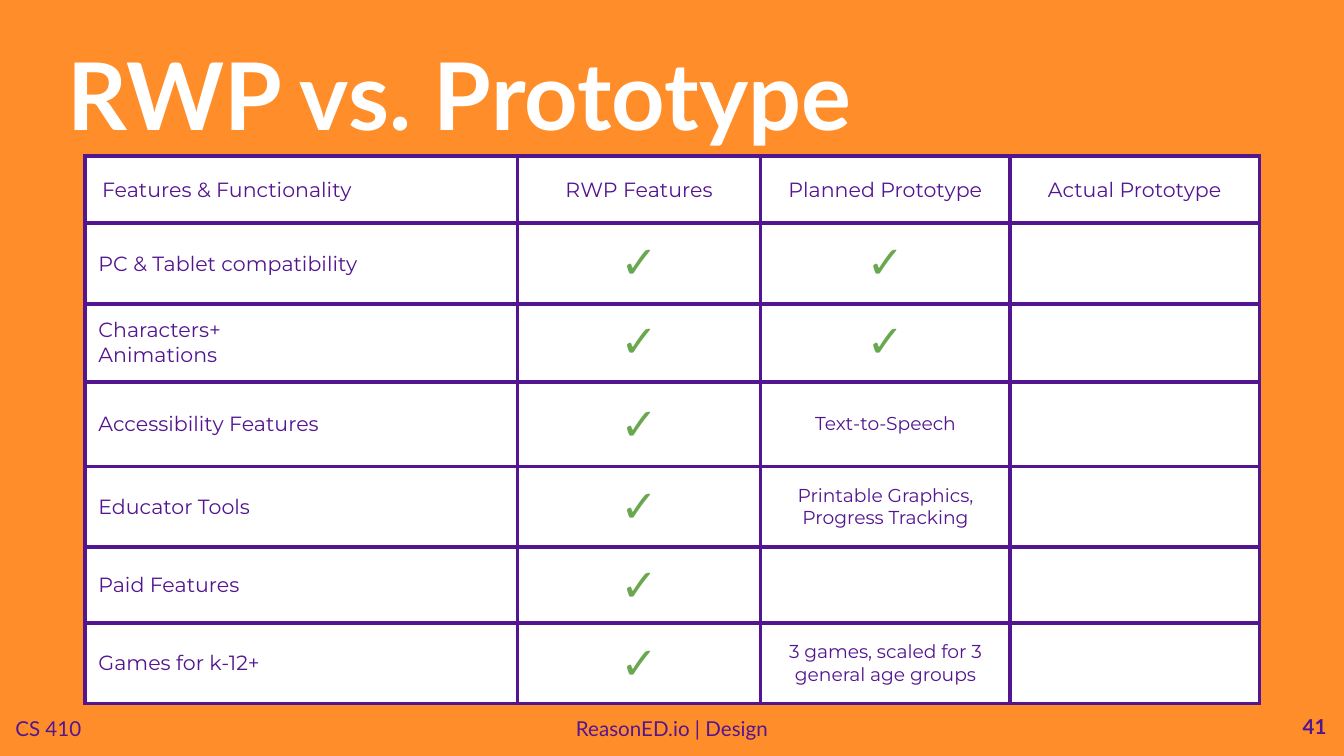
from lxml import etree
from pptx import Presentation
from pptx import util as u
from pptx.dml.color import RGBColor
from pptx.enum import text as t
from pptx.oxml.ns import qn

ORANGE = RGBColor(0xFF, 0x8D, 0x29)
PURPLE = RGBColor(0x54, 0x16, 0x90)
GREEN = RGBColor(0x6A, 0xA8, 0x4F)
WHITE = RGBColor(0xFF, 0xFF, 0xFF)
LEFT, CENTER, RIGHT = t.PP_ALIGN.LEFT, t.PP_ALIGN.CENTER, t.PP_ALIGN.RIGHT

# Content
TITLE = "RWP vs. Prototype"
CHECK = "✓"
HEADER = ["Features & Functionality", "RWP Features", "Planned Prototype", "Actual Prototype"]
FEATURES = [
    ["PC & Tablet compatibility", CHECK, CHECK, ""],
    ["Characters+\nAnimations", CHECK, CHECK, ""],
    ["Accessibility Features", CHECK, "Text-to-Speech", ""],
    ["Educator Tools", CHECK, "Printable Graphics, Progress Tracking", ""],
    ["Paid Features", CHECK, "", ""],
    ["Games for k-12+", CHECK, "3 games, scaled for 3 general age groups", ""],
]
CHECK_FONTS = ["Comic Neue"] * 2 + ["Montserrat"] * 4
COLUMN_WIDTHS = [231.8, 130.2, 133.7, 133.5]
ROW_HEIGHTS = [36, 43.3, 41.8, 45.2, 43.3, 40.5, 43.3]
TABLE_LEFT, TABLE_TOP = 45.5, 83.6
# text, left, top, width, height, alignment, bold
FOOTERS = [
    ("ReasonED.io | Design", 272.9, 377, 174.2, 28, CENTER, False),
    ("41", 674.6, 375.8, 43.2, 31, RIGHT, True),
    ("CS 410", 0, 377, 51.8, 28, CENTER, False),
]


def write(frame, words, size=11, font="Montserrat", color=PURPLE, bold=False,
          align=LEFT, spacing=None):
    for index, line in enumerate(words.split("\n")):
        para = frame.add_paragraph() if index else frame.paragraphs[0]
        para.alignment = align
        if spacing:
            para.line_spacing = spacing
        span = para.add_run()
        span.text = line
        span.font.size = u.Pt(size)
        span.font.name = font
        span.font.bold = bold
        span.font.color.rgb = color


def add_box(left, top, width, height, margin_x, margin_y):
    box = slide.shapes.add_textbox(u.Pt(left), u.Pt(top), u.Pt(width), u.Pt(height))
    frame = box.text_frame
    frame.word_wrap = True
    frame.margin_left = frame.margin_right = u.Pt(margin_x)
    frame.margin_top = frame.margin_bottom = u.Pt(margin_y)
    return frame


def add_borders(cell, color, width):
    properties = cell._tc.get_or_add_tcPr()
    for side in ("a:lnL", "a:lnR", "a:lnT", "a:lnB"):
        line = etree.SubElement(properties, qn(side), w=str(u.Pt(width)))
        fill = etree.SubElement(line, qn("a:solidFill"))
        etree.SubElement(fill, qn("a:srgbClr"), val=str(color))


deck = Presentation()
deck.slide_width, deck.slide_height = u.Pt(720), u.Pt(405)
slide = deck.slides.add_slide(deck.slide_layouts[6])
slide.background.fill.solid()
slide.background.fill.fore_color.rgb = ORANGE

# Title
title = add_box(-68.4, 25.2, 629.3, 58.3, 7.2, 3.6)
title.vertical_anchor = t.MSO_ANCHOR.MIDDLE
write(title, TITLE, size=50, font="Lato", color=WHITE, bold=True, align=CENTER, spacing=0.85)

# Footer
for words, left, top, width, height, align, bold in FOOTERS:
    write(add_box(left, top, width, height, 7.2, 7.2), words,
          font="Lato", bold=bold, align=align)

# Feature table
rows = [HEADER] + FEATURES
table = slide.shapes.add_table(
    len(rows), len(HEADER), u.Pt(TABLE_LEFT), u.Pt(TABLE_TOP),
    u.Pt(sum(COLUMN_WIDTHS)), u.Pt(sum(ROW_HEIGHTS))).table
table.first_row = table.horz_banding = False
for column, width in zip(table.columns, COLUMN_WIDTHS):
    column.width = u.Pt(width)
for row, height in zip(table.rows, ROW_HEIGHTS):
    row.height = u.Pt(height)

for r, row in enumerate(rows):
    for c, words in enumerate(row):
        cell = table.cell(r, c)
        add_borders(cell, PURPLE, 2.25)
        cell.fill.solid()
        cell.fill.fore_color.rgb = WHITE
        cell.vertical_anchor = t.MSO_ANCHOR.MIDDLE
        cell.margin_left = u.Pt(9.2 if r == c == 0 else 7.2)
        cell.margin_right = u.Pt(7.2)
        cell.margin_top = cell.margin_bottom = 0
        align = CENTER if c else LEFT
        if words == CHECK:
            write(cell.text_frame, words, size=24, font=CHECK_FONTS[r - 1],
                  color=GREEN, bold=True, align=align)
        elif words:
            write(cell.text_frame, words, size=10 if r and c else 11, align=align)

deck.save("out.pptx")
